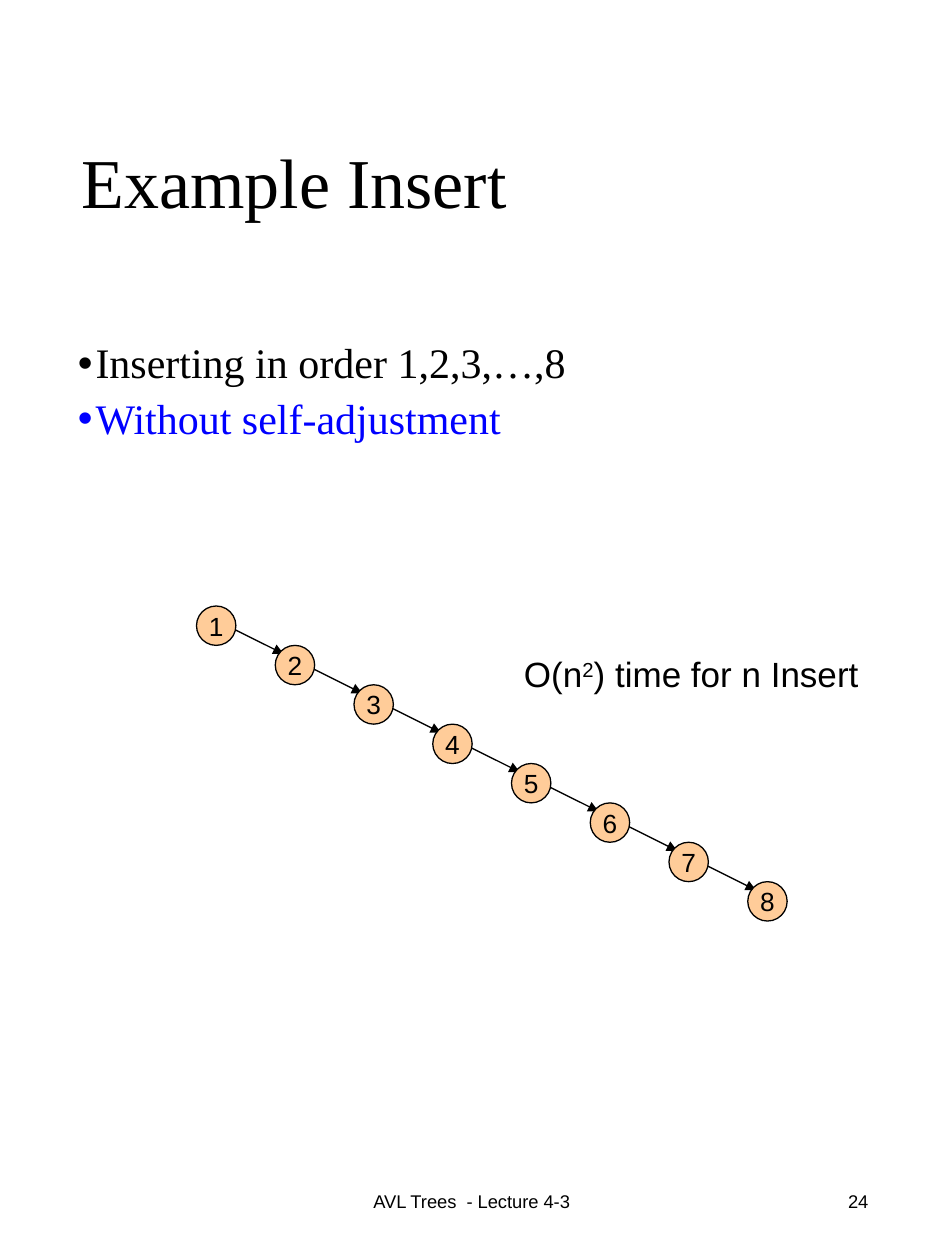
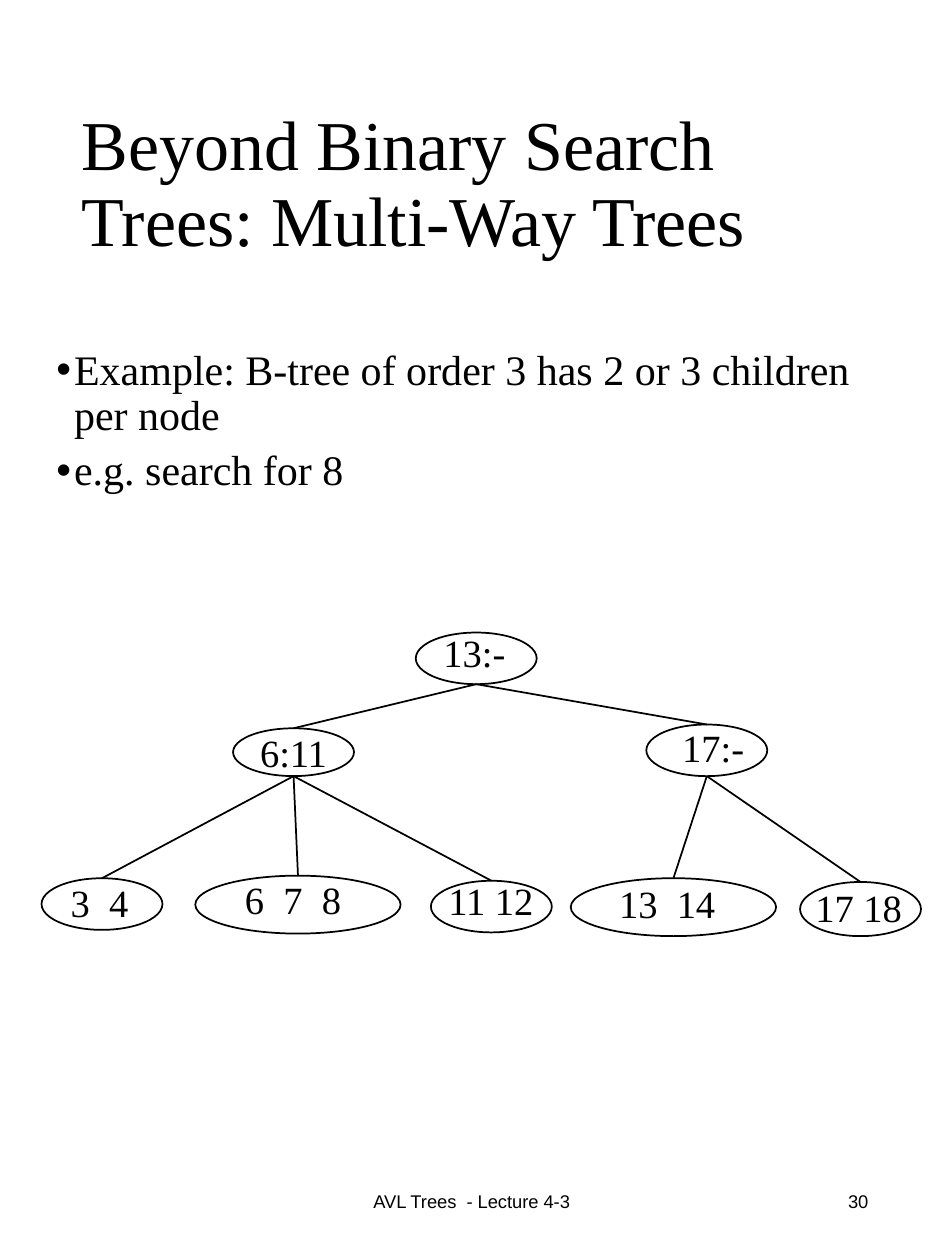
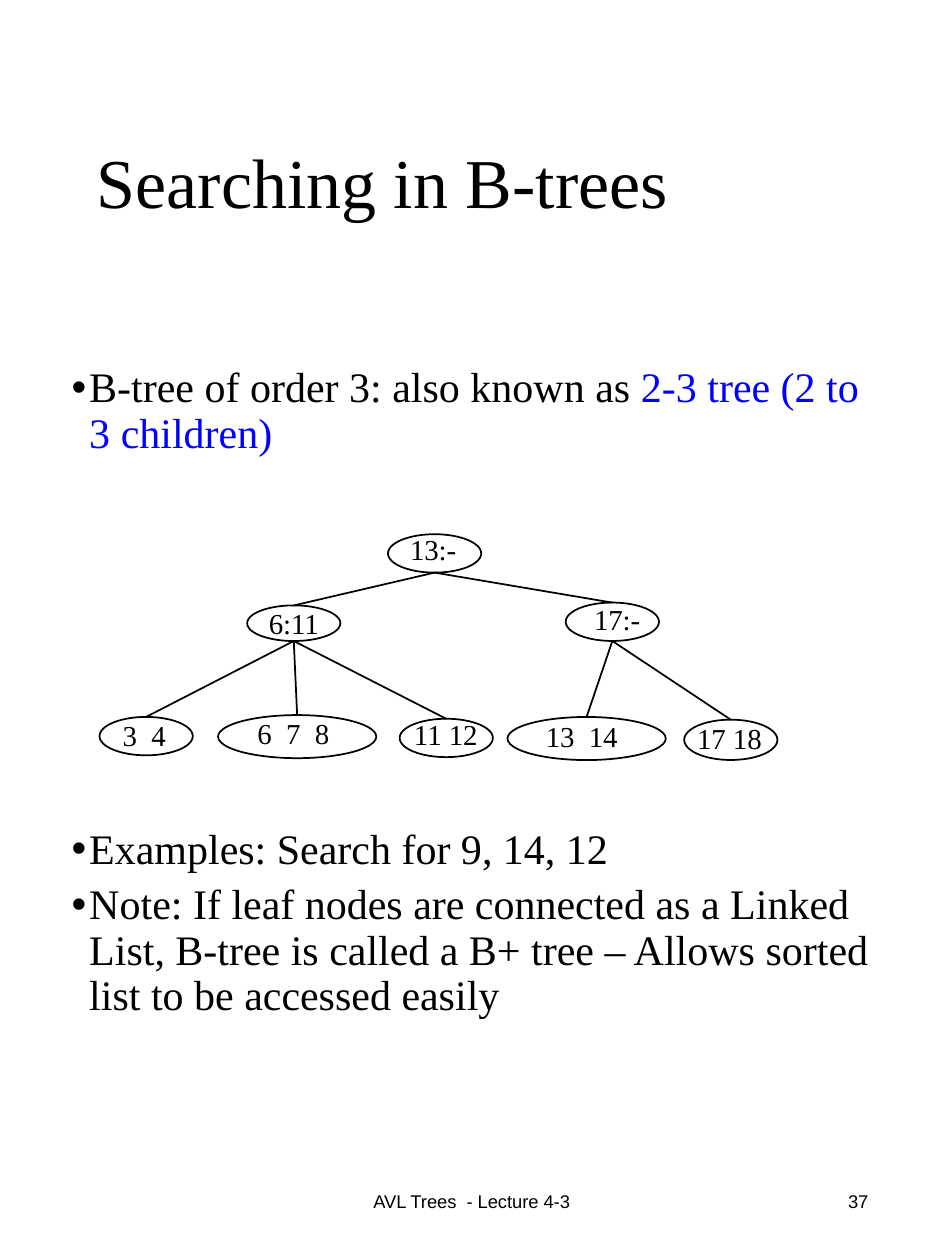
from lxml import etree
from pptx import Presentation
from pptx import util as u
from pptx.dml import color
from pptx.enum import shapes, text
from pptx.oxml import ns

BLACK, BLUE, PEACH = "000000", "0000FF", "FFCC99"
SERIF, SANS = "Times New Roman", "Arial"
CENTER, RIGHT = text.PP_ALIGN.CENTER, text.PP_ALIGN.RIGHT
MIDDLE = text.MSO_ANCHOR.MIDDLE

TITLE = {"size": 40, "font": SERIF}
BODY = {"size": 24, "font": SERIF}
FOOTER = {"size": 10.5, "font": SANS}
NODE = {"size": 15, "font": SANS}
NOTE = {"size": 20, "font": SANS}

CHAIN_STEP = (5 / 8, 5 / 16)
NODE_SIZE = 5 / 16

TREE_ORIGIN = (0.33, 5.02)
TREE_NODES = {
    "13:-": ((3.3, 5.02, 0.96, 0.41), (3.49, 5.05, 0.55)),
    "6:11": ((1.85, 5.78, 0.96, 0.38), (1.98, 5.84, 0.7)),
    "17:-": ((5.13, 5.75, 0.96, 0.41), (5.37, 5.8, 0.58)),
    "3  4": ((0.33, 6.97, 0.96, 0.41), (0.56, 7.03, 0.46)),
    "6  7  8": ((1.55, 6.95, 1.63, 0.46), (1.94, 7.01, 0.77)),
    "11 12": ((3.42, 6.99, 0.96, 0.41), (3.45, 7.02, 0.89)),
    "13  14": ((4.53, 6.97, 1.63, 0.46), (4.91, 7.04, 0.77)),
    "17 18": ((6.35, 7, 0.96, 0.43), (6.46, 7.07, 0.71)),
}
TREE_CHILDREN = {
    "13:-": ["6:11", "17:-"],
    "6:11": ["3  4", "6  7  8", "11 12"],
    "17:-": ["13  14", "17 18"],
}


def rgb(value):
    return color.RGBColor.from_string(value)


def inches(values):
    return [u.Inches(value) for value in values]


def apply(target, values):
    for name, value in values.items():
        setattr(target, name, value)


def add_run(paragraph, words, style, hue=BLACK):
    run = paragraph.add_run()
    run.text = words
    apply(run.font, {"size": u.Pt(style["size"]), "name": style["font"]})
    run.font.color.rgb = rgb(hue)
    return run


def add_text(slide, at, words, style, frame=None, paragraph=None):
    box = slide.shapes.add_textbox(*inches(at)).text_frame
    apply(box, {"word_wrap": True, **(frame or {})})
    line = box.paragraphs[0]
    apply(line, paragraph or {})
    add_run(line, words, style)
    return line


def add_bullets(slide, at, items):
    frame = slide.shapes.add_textbox(*inches(at)).text_frame
    frame.word_wrap = True
    for index, (gap, runs) in enumerate(items):
        paragraph = frame.add_paragraph() if index else frame.paragraphs[0]
        props = paragraph._p.get_or_add_pPr()
        props.set("marL", str(u.Inches(0.14)))
        props.set("indent", str(u.Inches(-0.14)))
        etree.SubElement(props, ns.qn("a:buFont")).set("typeface", SANS)
        etree.SubElement(props, ns.qn("a:buChar")).set("char", "•")
        apply(paragraph, {"line_spacing": 0.9, "space_before": u.Pt(gap)})
        for words, hue in runs:
            add_run(paragraph, words, BODY, hue)


def add_line(slide, start, end, width, arrow=False):
    line = slide.shapes.add_connector(
        shapes.MSO_CONNECTOR.STRAIGHT, *inches((*start, *end)))
    line.line.color.rgb = rgb(BLACK)
    line.line.width = u.Pt(width)
    if arrow:
        outline = line.line._get_or_add_ln()
        etree.SubElement(outline, ns.qn("a:tailEnd")).set("type", "triangle")
    etree.SubElement(line._element.spPr, ns.qn("a:effectLst"))


def add_ellipse(slide, at, width, fill=None):
    ellipse = slide.shapes.add_shape(shapes.MSO_SHAPE.OVAL, *inches(at))
    ellipse.shadow.inherit = False
    if fill:
        ellipse.fill.solid()
        ellipse.fill.fore_color.rgb = rgb(fill)
    else:
        ellipse.fill.background()
    ellipse.line.color.rgb = rgb(BLACK)
    ellipse.line.width = u.Pt(width)
    return ellipse


def add_slide(deck, title, number, title_inset=0.1):
    slide = deck.slides.add_slide(deck.slide_layouts[6])
    middle = {"vertical_anchor": MIDDLE}
    add_text(slide, (2.48, 9.27, 2.53, 0.53), "AVL Trees  - Lecture 4-3",
             FOOTER, middle, {"alignment": CENTER})
    add_text(slide, (5.3, 9.27, 1.69, 0.53), str(number),
             FOOTER, middle, {"alignment": RIGHT})
    add_text(slide, (0.55, 0.51, 6.47, 1.93), title, TITLE,
             {**middle, "margin_left": u.Inches(title_inset)},
             {"line_spacing": 0.9})
    return slide


def add_chain(slide, left, top, count):
    for index in range(count):
        x, y = left + index * CHAIN_STEP[0], top + index * CHAIN_STEP[1]
        node = add_ellipse(slide, (x, y, NODE_SIZE, NODE_SIZE), 0.75, PEACH)
        apply(node.text_frame, {"word_wrap": False, "vertical_anchor": MIDDLE})
        label = node.text_frame.paragraphs[0]
        label.alignment = CENTER
        add_run(label, str(index + 1), NODE)
        if index < count - 1:
            add_line(slide, (x + 0.31, y + 0.19), (x + 0.69, y + 0.38),
                     0.75, arrow=True)


def add_btree(slide, origin=TREE_ORIGIN, scale=(1, 1), size=22):
    def place(x, y):
        return [start + (value - base) * factor for start, value, base, factor
                in zip(origin, (x, y), TREE_ORIGIN, scale)]

    for (x, y, width, height), _ in TREE_NODES.values():
        add_ellipse(slide, (*place(x, y), width * scale[0],
                            height * scale[1]), 1)
    for parent, children in TREE_CHILDREN.items():
        x, y, width, height = TREE_NODES[parent][0]
        for child in children:
            child_x, child_y, child_width, _ = TREE_NODES[child][0]
            add_line(slide, place(x + width / 2, y + height),
                     place(child_x + child_width / 2, child_y), 1)
    label_frame = dict.fromkeys(
        ("margin_left", "margin_top", "margin_right", "margin_bottom"), 0)
    label_frame["word_wrap"] = False
    for keys, (_, (x, y, width)) in TREE_NODES.items():
        add_text(slide, (*place(x, y), width * scale[0], 0.31 * scale[1]),
                 keys, {"size": size, "font": SERIF}, label_frame,
                 {"line_spacing": 0.85, "alignment": CENTER})


def main():
    deck = Presentation()
    apply(deck, {"slide_width": u.Inches(7.5), "slide_height": u.Inches(10)})

    insert = add_slide(deck, "Example Insert", 24)
    add_bullets(insert, (0.52, 2.67, 6.47, 6.34), [
        (0, [("Inserting in order 1,2,3,…,8", BLACK)]),
        (5.7, [("Without self-adjustment", BLUE)]),
    ])
    add_chain(insert, 1.56, 4.81, 8)
    cost = add_text(insert, (4.06, 5.13, 2.88, 0.44), "O(n", NOTE,
                    {"word_wrap": False})
    power = add_run(cost, "2", NOTE)
    power.font._element.set("baseline", "30000")
    add_run(cost, ") time for n Insert", NOTE)

    multiway = add_slide(
        deck, "Beyond Binary Search Trees: Multi-Way Trees", 30)
    add_bullets(multiway, (0.35, 2.72, 6.96, 4.72), [
        (0, [("Example: B-tree of order 3 has 2 or 3 children per node",
              BLACK)]),
        (5.7, [("e.g. search for 8", BLACK)]),
    ])
    add_btree(multiway)

    search = add_slide(deck, "Searching in B-trees", 37, title_inset=0.22)
    add_btree(search, origin=(0.79, 4.24),
              scale=(0.74 / 0.96, 1.45 / 1.95), size=16.5)
    add_bullets(search, (0.47, 2.86, 6.57, 3.6), [
        (0, [("B-tree of order 3: also known as ", BLACK),
             ("2-3 tree (2 to 3 children)", BLUE)]),
        (212, [("Examples: Search for 9, 14, 12", BLACK)]),
        (5.7, [("Note: If leaf nodes are connected as a Linked List, B-tree "
                "is called a B+ tree – Allows sorted list to be accessed "
                "easily", BLACK)]),
    ])

    deck.save("out.pptx")


if __name__ == "__main__":
    main()
